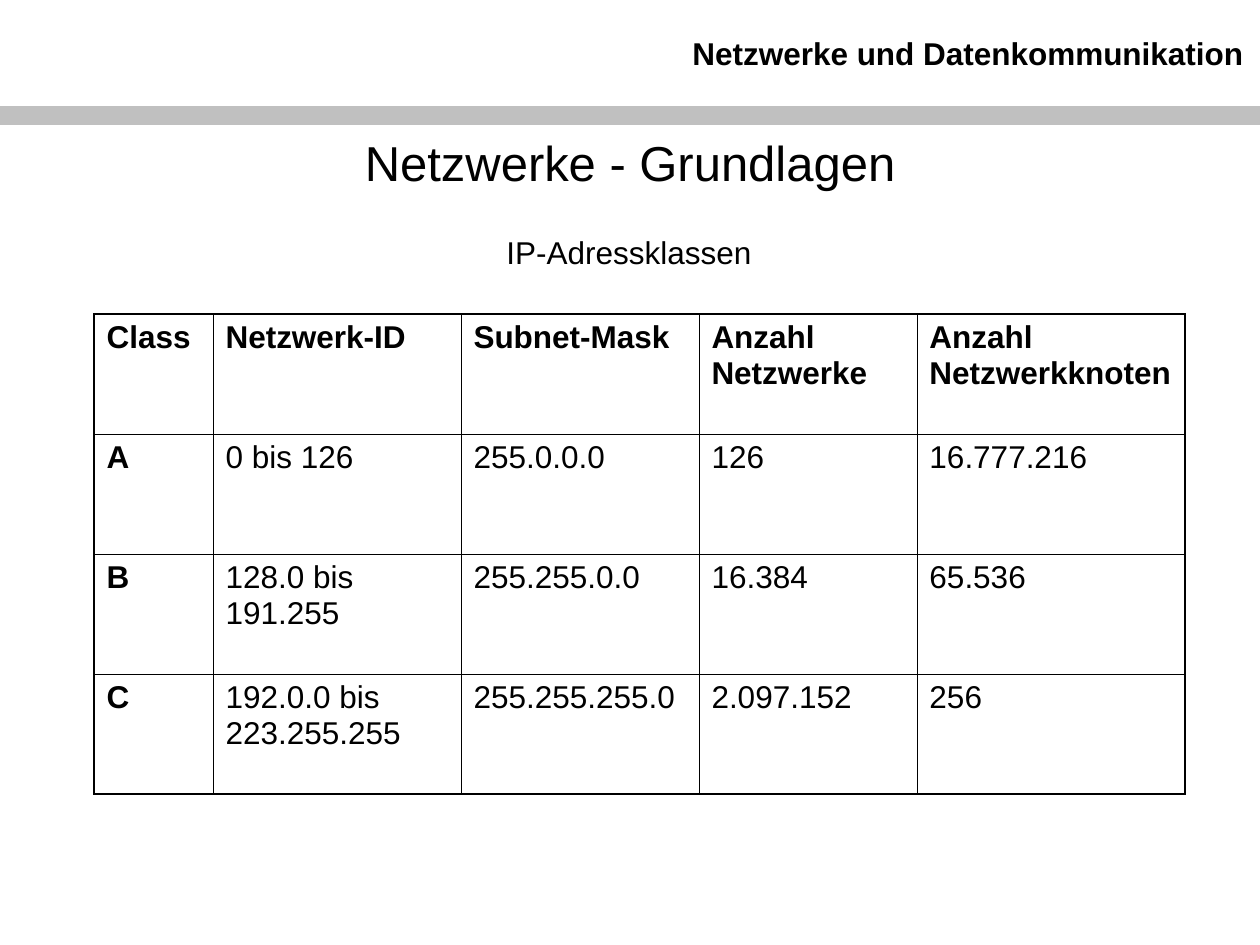
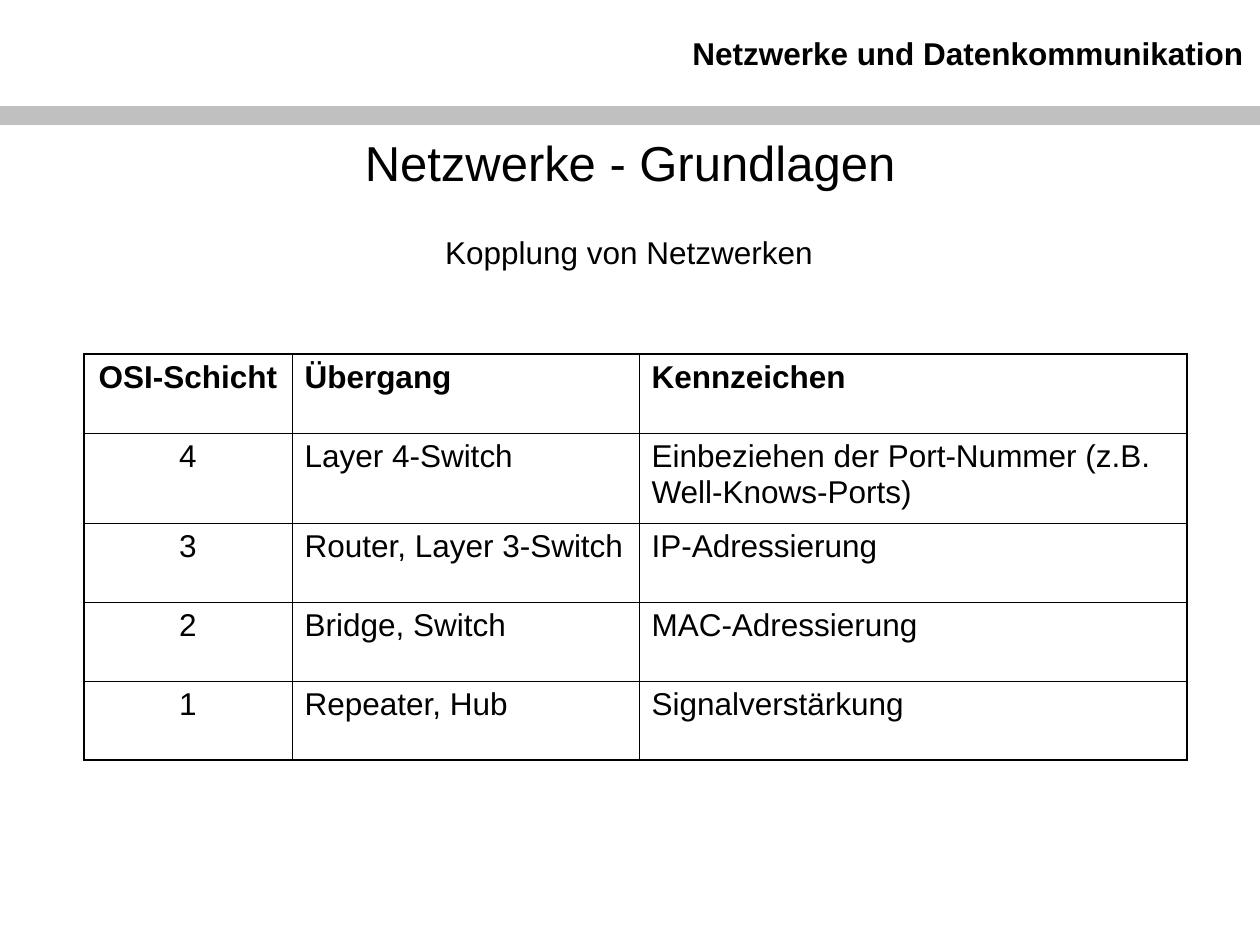
from lxml.etree import SubElement
from pptx import Presentation
from pptx.dml.color import RGBColor
from pptx.enum.shapes import MSO_SHAPE
from pptx.enum.text import MSO_ANCHOR, PP_ALIGN
from pptx.oxml.ns import qn
from pptx.util import Emu, Pt

BLACK = RGBColor(0x00, 0x00, 0x00)
BAND_GREY = RGBColor(0xC0, 0xC0, 0xC0)
FONT = "Arial"
TITLE_SIZE, TEXT_SIZE = 28, 18
OUTER_LINE, INNER_LINE = 1.08, 0.45
PIXELS_PER_INCH = 126
SLIDE_WIDTH, SLIDE_HEIGHT = 1260, 945


def px(length):
    return Emu(round(length * 914400 / PIXELS_PER_INCH))


class Deck:
    """Holds the shared style and the current slide."""

    def __init__(self):
        self.presentation = Presentation()
        self.presentation.slide_width = px(SLIDE_WIDTH)
        self.presentation.slide_height = px(SLIDE_HEIGHT)
        self.slide = None

    def add_slide(self, subtitle):
        self.slide = self.presentation.slides.add_slide(self.presentation.slide_layouts[6])
        self.band(0, 106, SLIDE_WIDTH, 19)
        self.text("Netzwerke und Datenkommunikation", 522, 28, 734, 50,
                  align=PP_ALIGN.RIGHT, bold=True)
        self.text("Netzwerke - Grundlagen", 64, 126, 1132, 71, size=TITLE_SIZE,
                  anchor=MSO_ANCHOR.MIDDLE)
        self.text(subtitle, 63, 227, 1132, 50)

    def band(self, left, top, width, height):
        shape = self.slide.shapes.add_shape(
            MSO_SHAPE.RECTANGLE, px(left), px(top), px(width), px(height))
        shape.shadow.inherit = False
        shape.fill.solid()
        shape.fill.fore_color.rgb = BAND_GREY
        shape.line.fill.background()

    def text(self, content, left, top, width, height, size=TEXT_SIZE,
             align=PP_ALIGN.CENTER, bold=False, anchor=MSO_ANCHOR.TOP):
        box = self.slide.shapes.add_textbox(px(left), px(top), px(width), px(height))
        box.text_frame.word_wrap = True
        box.text_frame.vertical_anchor = anchor
        self.fill_text(box.text_frame, content, size, align, bold)

    def fill_text(self, text_frame, content, size, align, bold):
        text_frame.text = content
        paragraph = text_frame.paragraphs[0]
        paragraph.alignment = align
        for run in paragraph.runs:
            run.font.name = FONT
            run.font.size = Pt(size)
            run.font.bold = bold
            run.font.color.rgb = BLACK

    def table(self, rows, left, top, widths, heights, bold_first_column=False,
              first_column_align=PP_ALIGN.LEFT):
        table = self.slide.shapes.add_table(
            len(rows), len(widths), px(left), px(top),
            px(sum(widths)), px(sum(heights))).table
        table.first_row = table.horz_banding = False
        for column, width in zip(table.columns, widths):
            column.width = px(width)
        for row, height in zip(table.rows, heights):
            row.height = px(height)
        last_row, last_column = len(rows) - 1, len(widths) - 1
        for r, values in enumerate(rows):
            for c, value in enumerate(values):
                cell = table.cell(r, c)
                cell.fill.background()
                align = first_column_align if c == 0 else PP_ALIGN.LEFT
                bold = r == 0 or (bold_first_column and c == 0)
                self.fill_text(cell.text_frame, value, TEXT_SIZE, align, bold)
                self.borders(cell, {"a:lnL": c == 0, "a:lnR": c == last_column,
                                    "a:lnT": r == 0, "a:lnB": r == last_row})

    def borders(self, cell, outer_sides):
        properties = cell._tc.get_or_add_tcPr()
        for position, (tag, is_outer) in enumerate(outer_sides.items()):
            width = Pt(OUTER_LINE if is_outer else INNER_LINE)
            line = SubElement(properties, qn(tag), w=str(width))
            fill = SubElement(line, qn("a:solidFill"))
            SubElement(fill, qn("a:srgbClr"), val=str(BLACK))
            # Border lines must precede the cell fill
            properties.insert(position, line)


def main():
    deck = Deck()

    # IP address classes
    deck.add_slide("IP-Adressklassen")
    address_classes = [
        ["Class", "Netzwerk-ID", "Subnet-Mask", "Anzahl Netzwerke", "Anzahl Netzwerkknoten"],
        ["A", "0 bis 126", "255.0.0.0", "126", "16.777.216"],
        ["B", "128.0 bis 191.255", "255.255.0.0", "16.384", "65.536"],
        ["C", "192.0.0 bis 223.255.255", "255.255.255.0", "2.097.152", "256"],
    ]
    deck.table(address_classes, 94, 314, [119, 248, 238, 218, 268],
               [120] * len(address_classes), bold_first_column=True)

    # Coupling of networks by OSI layer
    deck.add_slide("Kopplung von Netzwerken")
    couplings = [
        ["OSI-Schicht", "Übergang", "Kennzeichen"],
        ["4", "Layer 4-Switch", "Einbeziehen der Port-Nummer (z.B. Well-Knows-Ports)"],
        ["3", "Router, Layer 3-Switch", "IP-Adressierung"],
        ["2", "Bridge, Switch", "MAC-Adressierung"],
        ["1", "Repeater, Hub", "Signalverstärkung"],
    ]
    deck.table(couplings, 84, 354, [208, 347, 548], [79, 90, 79, 79, 79],
               first_column_align=PP_ALIGN.CENTER)

    deck.presentation.save("out.pptx")


if __name__ == "__main__":
    main()
